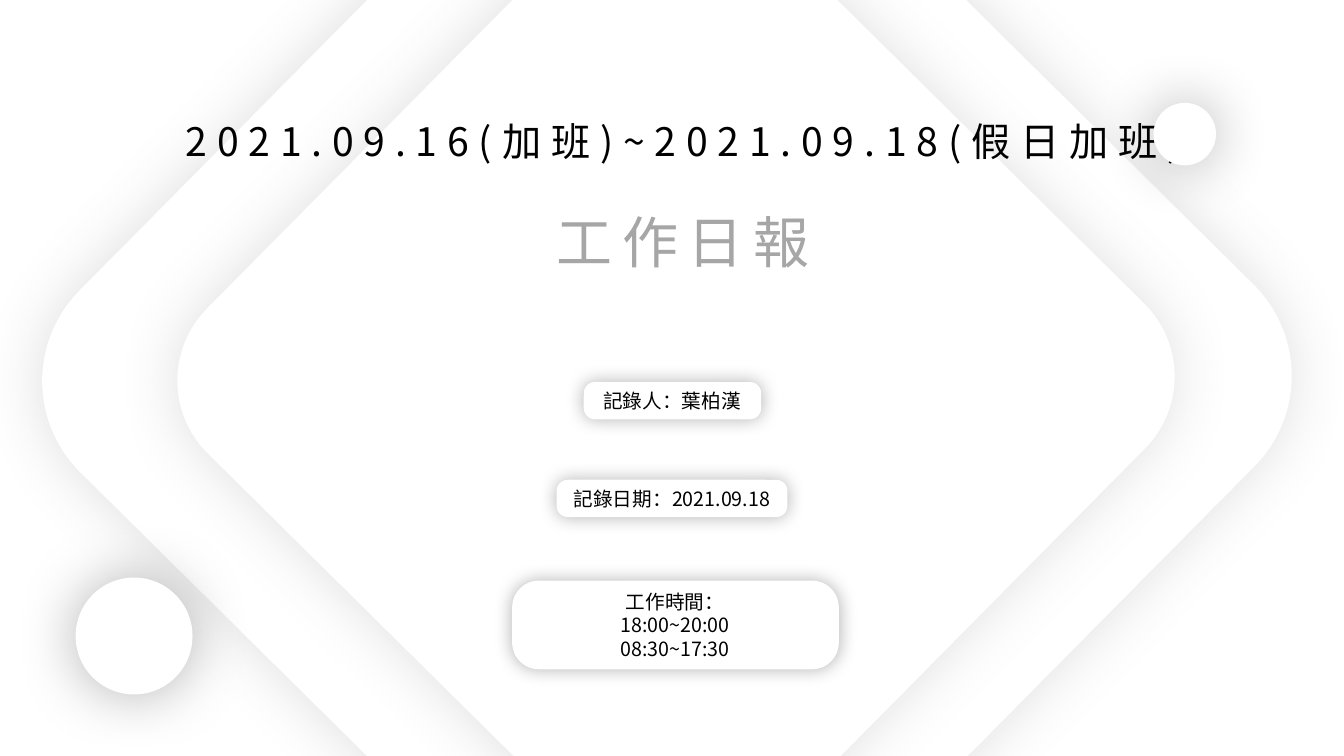
import pptx
import pptx.dml.color
import pptx.enum.shapes
import pptx.enum.text
import pptx.oxml.ns
import pptx.util
from lxml import etree

Inches = pptx.util.Inches
SHAPE = pptx.enum.shapes.MSO_SHAPE
FONT = "Noto Sans CJK SC"
qn = pptx.oxml.ns.qn
rgb = pptx.dml.color.RGBColor.from_string


def add_soft_shape(shapes, kind, position, shadow_color, opacity, blur, corner=None):
    """Add a white shape with an even shadow all around it."""
    shape = shapes.add_shape(kind, *[Inches(value) for value in position])
    if corner is not None:
        shape.adjustments[0] = corner
    shape.fill.solid()
    shape.fill.fore_color.rgb = rgb("FFFFFF")
    shape.line.fill.background()
    shape.shadow.inherit = False
    effects = shape.element.spPr.find(qn("a:effectLst"))
    shadow = etree.SubElement(effects, qn("a:outerShdw"), blurRad=str(pptx.util.Pt(blur)),
                              dist="0", dir="0", algn="ctr", rotWithShape="0")
    color = etree.SubElement(shadow, qn("a:srgbClr"), val=shadow_color)
    etree.SubElement(color, qn("a:alpha"), val=str(opacity * 1000))
    return shape


def write_text(box, lines, size, color="000000", spacing=0):
    """Fill a box with centred lines, one paragraph each."""
    frame = box.text_frame
    frame.word_wrap = True
    frame.auto_size = pptx.enum.text.MSO_AUTO_SIZE.SHAPE_TO_FIT_TEXT
    frame.vertical_anchor = pptx.enum.text.MSO_ANCHOR.TOP
    for index, line in enumerate(lines):
        para = frame.add_paragraph() if index else frame.paragraphs[0]
        para.alignment = pptx.enum.text.PP_ALIGN.CENTER
        para.line_spacing = 1.0
        para.space_before = pptx.util.Pt(0)
        span = para.add_run()
        span.text = line
        span.font.size = pptx.util.Pt(size)
        span.font.color.rgb = rgb(color)
        span.font.name = FONT
        properties = span.font._element
        etree.SubElement(properties, qn("a:ea"), typeface=FONT)
        if spacing:
            properties.set("spc", str(spacing * 100))


deck = pptx.Presentation()
deck.slide_width = Inches(13.33)
deck.slide_height = Inches(7.5)
page = deck.slides.add_slide(deck.slide_layouts[5])
page.background.fill.solid()
page.background.fill.fore_color.rgb = rgb("FFFFFF")

# Two large rounded diamonds
for left, top, side in [(1.86, -1, 9.51), (2.91, -0.04, 7.59)]:
    diamond = add_soft_shape(page.shapes, SHAPE.ROUNDED_RECTANGLE, (left, top, side, side),
                             "595959", 19, 43, 0.134)
    diamond.rotation = 44.7

# Title, raised above the diamonds
title = page.shapes.title
title.element.getparent().append(title.element)
title.left, title.top = Inches(1.6), Inches(1.11)
title.width, title.height = Inches(10.35), Inches(0.57)
write_text(title, ["2021.09.16(加班)~2021.09.18(假日加班)"], 28, spacing=7)

# Subtitle
subtitle = page.shapes.add_textbox(Inches(4.4), Inches(2.01), Inches(4.75), Inches(0.77))
write_text(subtitle, ["工作日報"], 40, "A6A6A6", spacing=7)

# Decorative circles
for left, top, diameter in [(0.75, 5.73, 1.16), (11.44, 1.02, 0.62)]:
    add_soft_shape(page.shapes, SHAPE.OVAL, (left, top, diameter, diameter), "000000", 30, 43)

# Labels: a rounded card and its text, grouped
labels = [
    ((5.79, 3.79, 1.76, 0.37), (5.62, 3.81, 2.09, 0.34), ["記錄人：葉柏漢"]),
    ((5.52, 4.76, 2.29, 0.37), (5.46, 4.78, 2.41, 0.34), ["記錄日期：2021.09.18"]),
    ((5.08, 5.76, 3.24, 0.88), (4.99, 5.8, 3.41, 0.81),
     ["工作時間：", "18:00~20:00", "08:30~17:30"]),
]
for card_position, text_position, lines in labels:
    group = page.shapes.add_group_shape()
    add_soft_shape(group.shapes, SHAPE.ROUNDED_RECTANGLE, card_position, "000000", 30, 13, 0.302)
    box = group.shapes.add_textbox(*[Inches(value) for value in text_position])
    write_text(box, lines, 14)

deck.save("out.pptx")
